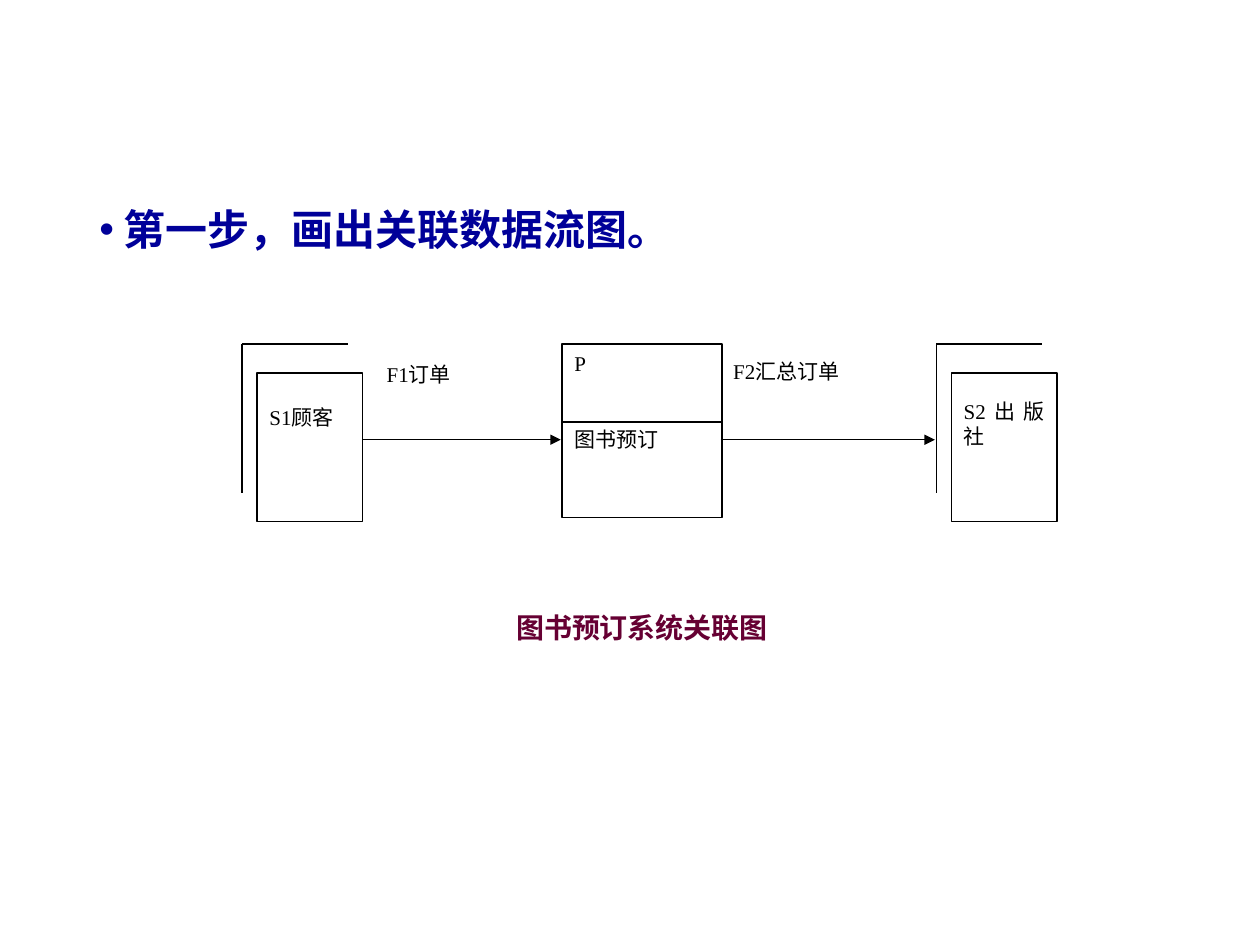
import pptx
import pptx.util
import pptx.dml.color
import pptx.enum.shapes
import pptx.enum.text
import pptx.oxml
import pptx.oxml.ns
from pptx.util import Inches

RGBColor = pptx.dml.color.RGBColor
ALIGN = pptx.enum.text.PP_ALIGN
NAVY = RGBColor(0x00, 0x00, 0x99)
MAROON = RGBColor(0x66, 0x00, 0x33)
BLACK = RGBColor(0, 0, 0)
WHITE = RGBColor(255, 255, 255)

HEADING = "第一步，画出关联数据流图。"
CAPTION = "图书预订系统关联图"
FLOWS = [
    ("F2汇总订单", 5.72, 2.8, 1.78, 1.2),
    ("F1订单", 2.97, 2.82, 1.31, 0.92),
]
PROCESS = [
    ("图书预订", 3.34, 0.77, ALIGN.JUSTIFY),
    ("P", 2.73, 0.62, ALIGN.LEFT),
]
ENTITIES = [("S1顾客", 1.92, 0.25), ("S2出版社", 7.43, 0.2)]
ARROWS = [(2.76, 4.45), (5.72, 7.42)]

PROCESS_X, PROCESS_W = 4.46, 1.27
ENTITY_Y, ENTITY_W, ENTITY_H = 2.73, 0.84, 1.18
OFFSET_X, OFFSET_Y = 0.12, 0.23
ARROW_Y = 3.49


def add_xml(parent, xml):
    head, rest = xml.split(" ", 1)
    ns = pptx.oxml.ns.nsdecls("a")
    parent.append(pptx.oxml.parse_xml(f"{head} {ns} {rest}"))


def write(p, text, font, size, color, bold=False):
    r = p.add_run()
    r.text = text
    r.font.name = font
    r.font.size = pptx.util.Pt(size)
    r.font.bold = bold
    r.font.color.rgb = color


def add_text(s, x, y, w, h):
    tf = s.shapes.add_textbox(Inches(x), Inches(y), Inches(w), Inches(h)).text_frame
    tf.word_wrap = True
    return tf.paragraphs[0]


def add_box(s, text, x, y, w, h, line=BLACK, align=ALIGN.JUSTIFY, top=0.05):
    sp = s.shapes.add_shape(pptx.enum.shapes.MSO_SHAPE.RECTANGLE,
                            Inches(x), Inches(y), Inches(w), Inches(h))
    sp.shadow.inherit = False
    sp.fill.solid()
    sp.fill.fore_color.rgb = WHITE
    sp.line.color.rgb = line
    sp.line.width = pptx.util.Pt(0.75)
    tf = sp.text_frame
    tf.word_wrap = True
    tf.vertical_anchor = pptx.enum.text.MSO_ANCHOR.TOP
    tf.margin_top = Inches(top)
    p = tf.paragraphs[0]
    p.alignment = align
    write(p, text, "Times New Roman", 12, BLACK)


def add_line(s, x1, y1, x2, y2, arrow=False):
    c = s.shapes.add_connector(pptx.enum.shapes.MSO_CONNECTOR.STRAIGHT,
                               Inches(x1), Inches(y1), Inches(x2), Inches(y2))
    c.line.color.rgb = BLACK
    c.line.width = pptx.util.Pt(0.75)
    if arrow:
        add_xml(c.line._get_or_add_ln(), '<a:tailEnd type="triangle"/>')
    add_xml(c._element.spPr, "<a:effectLst />")


def main():
    prs = pptx.Presentation()
    prs.slide_width, prs.slide_height = Inches(10), Inches(7.5)
    s = prs.slides.add_slide(prs.slide_layouts[6])

    p = add_text(s, 0.69, 1.37, 8.63, 4.76)
    p.line_spacing = 1.5
    pPr = p._p.get_or_add_pPr()
    pPr.set("marL", str(Inches(0.19)))
    pPr.set("indent", str(-Inches(0.19)))
    add_xml(pPr, f'<a:buClr ><a:srgbClr val="{NAVY}"/></a:buClr>')
    add_xml(pPr, '<a:buFont typeface="Arial"/>')
    add_xml(pPr, '<a:buChar char="•"/>')
    write(p, HEADING, "Calibri", 24, NAVY, True)

    p = add_text(s, 3.43, 4.8, 3.33, 0.77)
    p.alignment = ALIGN.CENTER
    write(p, CAPTION, "Arial", 16, MAROON, True)

    for text, x, y, w, h in FLOWS:
        add_box(s, text, x, y, w, h, line=WHITE)
    for text, y, h, align in PROCESS:
        add_box(s, text, PROCESS_X, y, PROCESS_W, h, align=align)
    for x1, x2 in ARROWS:
        add_line(s, x1, ARROW_Y, x2, ARROW_Y, arrow=True)
    for text, x, top in ENTITIES:
        add_box(s, text, x + OFFSET_X, ENTITY_Y + OFFSET_Y, ENTITY_W, ENTITY_H, top=top)
        add_line(s, x, ENTITY_Y, x + ENTITY_W, ENTITY_Y)
        add_line(s, x, ENTITY_Y, x, ENTITY_Y + ENTITY_H)

    prs.save("out.pptx")


if __name__ == "__main__":
    main()
